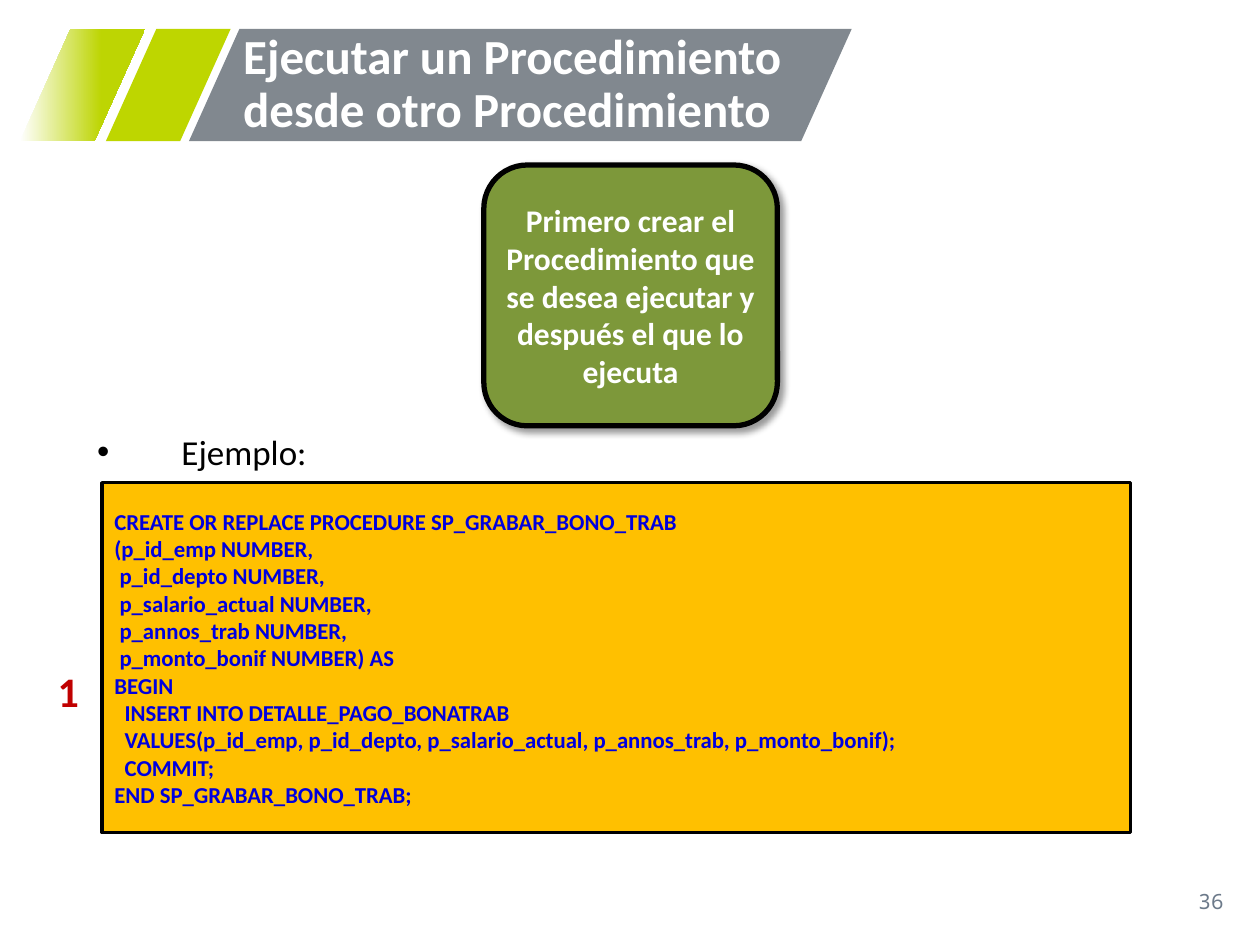
import pptx
import pptx.util
import pptx.dml.color
import pptx.enum.shapes
import pptx.enum.text
import pptx.oxml
import pptx.oxml.ns

Inches = pptx.util.Inches
Pt = pptx.util.Pt
RGBColor = pptx.dml.color.RGBColor
Kind = pptx.enum.shapes.MSO_SHAPE
Align = pptx.enum.text.PP_ALIGN
Anchor = pptx.enum.text.MSO_ANCHOR
Fit = pptx.enum.text.MSO_AUTO_SIZE

WHITE = RGBColor(0xFF, 0xFF, 0xFF)
BLACK = RGBColor(0, 0, 0)
LIME = RGBColor(0xBE, 0xD6, 0x00)
FADE = RGBColor(0xBD, 0xD5, 0x03)
GREY = RGBColor(0x81, 0x88, 0x8F)
SLATE = RGBColor(0x6C, 0x7A, 0x8A)
GREEN = RGBColor(0x7D, 0x98, 0x3A)
AMBER = RGBColor(0xFF, 0xC0, 0x00)
BLUE = RGBColor(0x00, 0x00, 0xDE)
RED = RGBColor(0xC0, 0x00, 0x00)

TITLE = "Ejecutar un Procedimiento desde otro Procedimiento"
NOTE = "Primero crear el Procedimiento que se desea ejecutar y después el que lo ejecuta"
LABEL = "Ejemplo:"
STEP = "1"
PAGE = "36"
CODE = [
    "CREATE OR REPLACE PROCEDURE SP_GRABAR_BONO_TRAB",
    "(p_id_emp NUMBER,",
    " p_id_depto NUMBER,",
    " p_salario_actual NUMBER,",
    " p_annos_trab NUMBER,",
    " p_monto_bonif NUMBER) AS",
    "BEGIN",
    "  INSERT INTO DETALLE_PAGO_BONATRAB",
    "  VALUES(p_id_emp, p_id_depto, p_salario_actual, p_annos_trab, p_monto_bonif);",
    "  COMMIT;",
    "END SP_GRABAR_BONO_TRAB;",
]
BANDS = [(0.84, 0.99, LIME), (0.16, 0.99, None), (1.5, 5.26, GREY)]
SHADOW = (
    '<a:effectLst xmlns:a="http://schemas.openxmlformats.org/drawingml/2006/main">'
    '<a:outerShdw blurRad="50800" dist="38100" dir="2700000" algn="tl" rotWithShape="0">'
    '<a:srgbClr val="000000"><a:alpha val="40000"/></a:srgbClr>'
    "</a:outerShdw></a:effectLst>"
)


def place(item, left, top, width, height):
    item.left, item.top = Inches(left), Inches(top)
    item.width, item.height = Inches(width), Inches(height)


def write(item, lines, size, color, bold=False, face="Calibri",
          align=Align.LEFT, anchor=Anchor.MIDDLE):
    frame = item.text_frame
    frame.text = "\n".join(lines)
    frame.word_wrap = True
    frame.auto_size = Fit.NONE
    frame.vertical_anchor = anchor
    for para in frame.paragraphs:
        para.alignment = align
        para.space_before = Pt(0)
        font = para.font
        font.name, font.size, font.bold = face, Pt(size), bold
        font.color.rgb = color
    return frame


def block(shapes, kind, area, fill, line=None):
    item = shapes.add_shape(kind, *map(Inches, area))
    item.shadow.inherit = False
    if fill is None:
        item.fill.gradient()
        item.fill.gradient_angle = 0
        for stop, (spot, color) in zip(item.fill.gradient_stops, [(0, WHITE), (0.65, FADE)]):
            stop.position = spot
            stop.color.rgb = color
    else:
        item.fill.solid()
        item.fill.fore_color.rgb = fill
    if line is None:
        item.line.fill.background()
    else:
        item.line.color.rgb = BLACK
        item.line.width = Pt(line)
    return item


def main():
    deck = pptx.Presentation()
    deck.slide_width, deck.slide_height = Inches(10), Inches(7.5)
    slide = deck.slides.add_slide(deck.slide_layouts[1])
    shapes = slide.shapes
    title, body = shapes.title, slide.placeholders[1]

    for left, width, fill in BANDS:
        band = block(shapes, Kind.PARALLELOGRAM, (left, 0.23, width, 0.89), fill)
        band.adjustments[0] = 0.45
        title._element.addprevious(band._element)

    place(title, 1.83, 0.23, 4.69, 0.89)
    frame = write(title, [TITLE], 28, WHITE, True)
    frame.paragraphs[0].line_spacing = 0.9

    note = block(shapes, Kind.ROUNDED_RECTANGLE, (3.84, 1.31, 2.33, 2.07), GREEN, 3)
    props = note._element.spPr
    props.remove(props.find(pptx.oxml.ns.qn("a:effectLst")))
    props.append(pptx.oxml.parse_xml(SHADOW))
    frame = write(note, [NOTE], 18, WHITE, True, align=Align.CENTER)
    frame.margin_left = frame.margin_right = 0
    frame.margin_top = frame.margin_bottom = 0

    place(body, 0.67, 3.43, 8.58, 0.45)
    frame = write(body, [LABEL], 20, BLACK, align=Align.JUSTIFY, anchor=Anchor.TOP)
    para = frame.paragraphs[0]
    para.line_spacing = 0.8
    props = para._p.get_or_add_pPr()
    props.set("marL", str(Inches(0.67)))
    props.set("indent", str(-Inches(0.67)))

    code = block(shapes, Kind.RECTANGLE, (0.81, 3.83, 8.16, 2.78), AMBER, 1.75)
    write(code, CODE, 13, BLUE, True)

    step = shapes.add_textbox(*map(Inches, (0.36, 5.23, 1, 1)))
    write(step, [STEP], 24, RED, True, anchor=Anchor.TOP)

    page = shapes.add_textbox(*map(Inches, (7.56, 6.95, 2.25, 0.4)))
    write(page, [PAGE], 12, SLATE, face="Noto Sans Mono", align=Align.RIGHT)

    deck.save("out.pptx")


if __name__ == "__main__":
    main()
